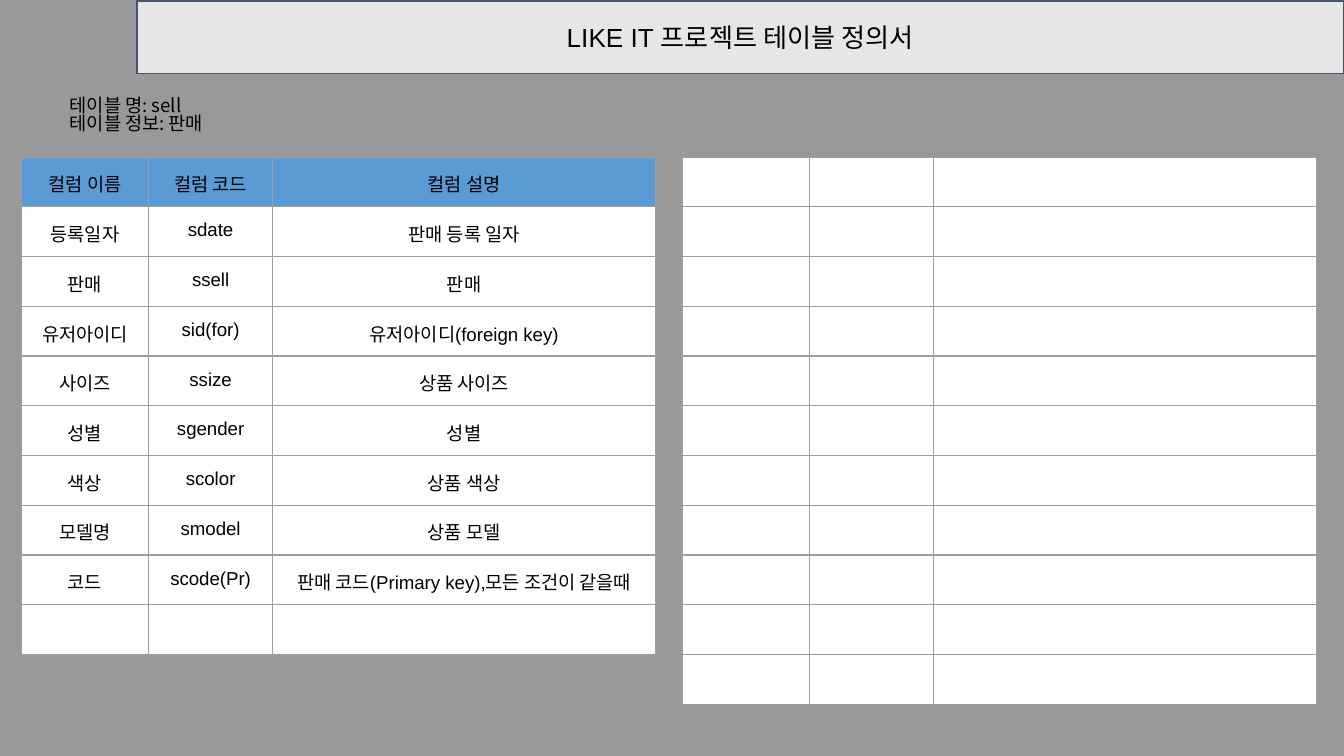
import dataclasses
import pptx
import pptx.util
import pptx.dml.color
import pptx.enum.text
import pptx.oxml
import pptx.oxml.ns

Cm = pptx.util.Cm
Pt = pptx.util.Pt
Color = pptx.dml.color.RGBColor.from_string
Align = pptx.enum.text.PP_ALIGN
Anchor = pptx.enum.text.MSO_ANCHOR


@dataclasses.dataclass(frozen=True)
class Theme:
    background: str = "999999"
    banner: str = "E7E6E6"
    banner_line: str = "44546A"
    header: str = "5B9BD5"
    cell: str = "FFFFFF"
    border: str = "9E9E9E"
    text: str = "000000"
    font: str = "Arial"
    info_font: str = "Noto Sans CJK KR"
    title_size: int = 14
    body_size: int = 10
    line_width: float = 0.75


theme = Theme()


def write(paragraph, text, size=theme.body_size, font=theme.font, align=Align.CENTER, spacing=1.0):
    paragraph.alignment = align
    paragraph.line_spacing = spacing
    run = paragraph.add_run()
    run.text = text
    run.font.size = Pt(size)
    run.font.name = font
    run.font.bold = False
    run.font.color.rgb = Color(theme.text)


def add_border(cell):
    properties = cell._tc.get_or_add_tcPr()
    for index, side in enumerate(("lnL", "lnR", "lnT", "lnB")):
        properties.insert(index, pptx.oxml.parse_xml(
            f'<a:{side} {pptx.oxml.ns.nsdecls("a")} w="{int(Pt(theme.line_width))}">'
            f'<a:solidFill><a:srgbClr val="{theme.border}"/></a:solidFill></a:{side}>'))


presentation = pptx.Presentation()
presentation.slide_width = Cm(25.4)
presentation.slide_height = Cm(14.29)
slide = presentation.slides.add_slide(presentation.slide_layouts[5])
slide.background.fill.solid()
slide.background.fill.fore_color.rgb = Color(theme.background)

title = slide.shapes.title
title.left, title.top, title.width, title.height = Cm(2.59), Cm(0.02), Cm(22.8), Cm(1.37)
title._element.spPr.append(pptx.oxml.parse_xml(
    f'<a:prstGeom {pptx.oxml.ns.nsdecls("a")} prst="roundRect"><a:avLst/></a:prstGeom>'))
title.fill.solid()
title.fill.fore_color.rgb = Color(theme.banner)
title.line.color.rgb = Color(theme.banner_line)
title.line.width = Pt(theme.line_width)
title.text_frame.vertical_anchor = Anchor.MIDDLE
write(title.text_frame.paragraphs[0], "LIKE IT 프로젝트 테이블 정의서", size=theme.title_size)

info = slide.shapes.add_textbox(Cm(1.07), Cm(1.6), Cm(11.33), Cm(1.37))
info.text_frame.word_wrap = True
info.text_frame.auto_size = pptx.enum.text.MSO_AUTO_SIZE.SHAPE_TO_FIT_TEXT
info.text_frame.add_paragraph()
for paragraph, text in zip(info.text_frame.paragraphs, ("테이블 명: sell", "테이블 정보: 판매")):
    write(paragraph, text, font=theme.info_font, align=Align.LEFT, spacing=0.8)

for frame in (title.text_frame, info.text_frame):
    frame.margin_left = frame.margin_right = frame.margin_top = frame.margin_bottom = Cm(0.25)

column_widths = (2.41, 2.34, 7.24)
row_height = 0.94
table_top = 2.97
blank_row = ("", "", "")
sell_rows = [
    ("컬럼 이름", "컬럼 코드", "컬럼 설명"),
    ("등록일자", "sdate", "판매 등록 일자"),
    ("판매", "ssell", "판매"),
    ("유저아이디", "sid(for)", "유저아이디(foreign key)"),
    ("사이즈", "ssize", "상품 사이즈"),
    ("성별", "sgender", "성별"),
    ("색상", "scolor", "상품 색상"),
    ("모델명", "smodel", "상품 모델"),
    ("코드", "scode(Pr)", "판매 코드(Primary key),모든 조건이 같을때"),
    blank_row,
]

for table_left, rows in ((0.4, sell_rows), (12.89, [blank_row] * 11)):
    table = slide.shapes.add_table(
        len(rows), len(column_widths), Cm(table_left), Cm(table_top),
        Cm(sum(column_widths)), Cm(row_height * len(rows))).table
    table.first_row = False
    table.horz_banding = False
    for column, width in zip(table.columns, column_widths):
        column.width = Cm(width)
    for row_index, texts in enumerate(rows):
        table.rows[row_index].height = Cm(row_height)
        for column_index, text in enumerate(texts):
            cell = table.cell(row_index, column_index)
            cell.fill.solid()
            cell.fill.fore_color.rgb = Color(theme.header if text and row_index == 0 else theme.cell)
            cell.margin_left = cell.margin_right = Cm(0.25)
            cell.margin_top = Cm(0.25 if text else 0)
            cell.margin_bottom = Cm(0.12 if text else 0)
            add_border(cell)
            if text:
                write(cell.text_frame.paragraphs[0], text)

presentation.save("out.pptx")
